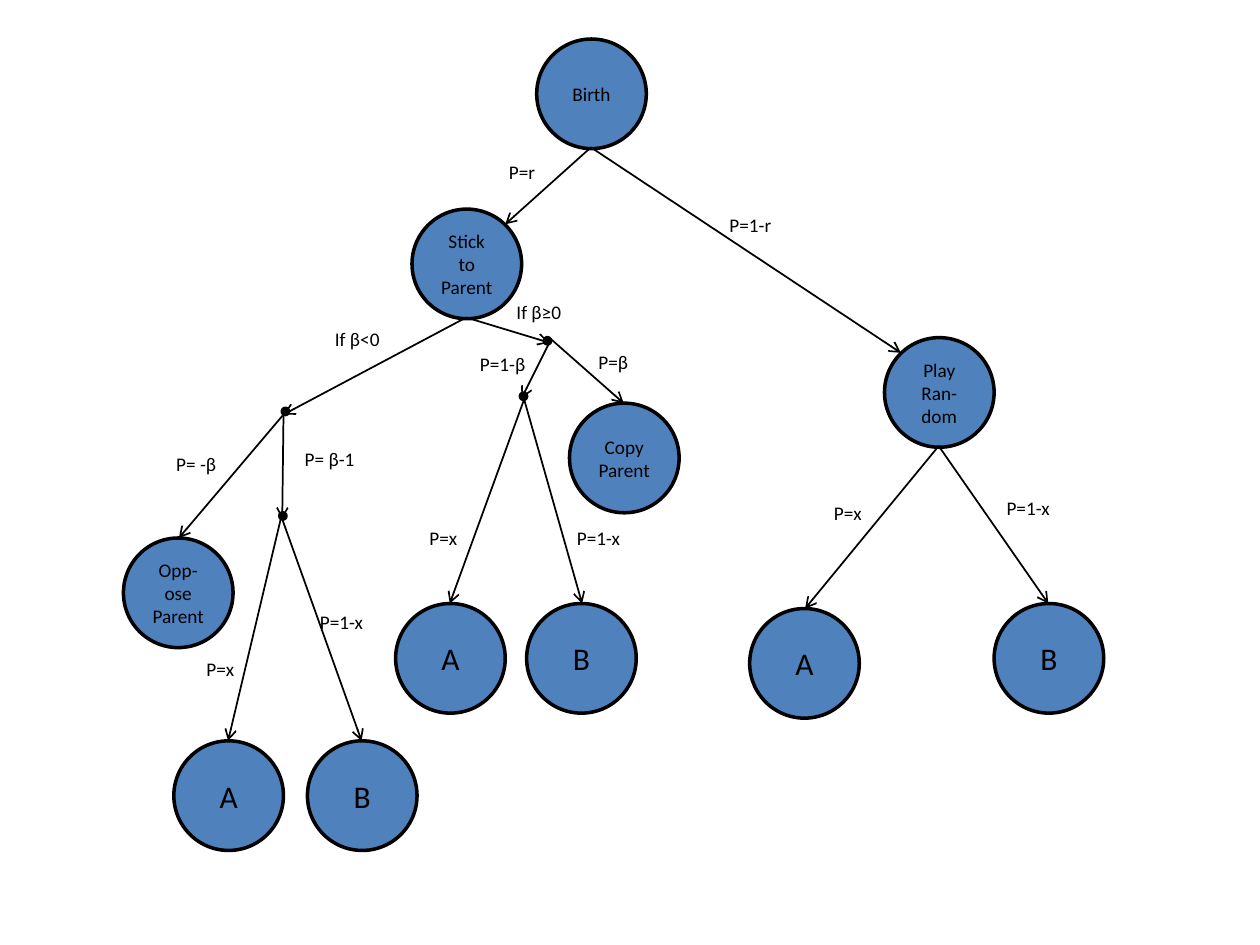
"""Build a probability tree of how a strategy is chosen at birth."""
from typing import NamedTuple

from lxml import etree
from pptx import Presentation
from pptx.dml.color import RGBColor
from pptx.enum import shapes, text
from pptx.oxml.ns import qn
from pptx.util import Inches, Pt

BLACK, BLUE = "000000", "4F81BD"
NODE_SIZE, DOT_SIZE, LABEL_HEIGHT = 0.87, 0.05, 0.29


class Circle(NamedTuple):
    """A tree node; without words it is a junction dot."""
    left: float
    top: float
    words: str = ""
    points: int = 11


class Label(NamedTuple):
    """A probability or condition beside a branch."""
    left: float
    top: float
    width: float
    words: str


class Branch(NamedTuple):
    """An arrow between two points."""
    x1: float
    y1: float
    x2: float
    y2: float


NODES = [
    Circle(4.26, 0.31, "Birth"),
    Circle(3.27, 1.66, "Stick to Parent"),
    Circle(7.02, 2.68, "Play Ran-dom"),
    Circle(4.52, 3.2, "Copy Parent"),
    Circle(0.98, 4.27, "Opp-ose\nParent"),
    Circle(5.95, 4.83, "A", 18),
    Circle(7.89, 4.79, "B", 18),
    Circle(3.14, 4.79, "A", 18),
    Circle(4.18, 4.79, "B", 18),
    Circle(1.38, 5.88, "A", 18),
    Circle(2.44, 5.88, "B", 18),
]
DOTS = [Circle(2.24, 3.24), Circle(2.22, 4.07), Circle(4.13, 3.12), Circle(4.32, 2.68)]
BRANCHES = [
    Branch(4.69, 1.17, 7.15, 2.8),
    Branch(4.69, 1.17, 4.01, 1.78),
    Branch(7.45, 3.54, 6.39, 4.83),
    Branch(7.45, 3.54, 8.32, 4.79),
    Branch(3.7, 2.52, 4.36, 2.72),
    Branch(3.7, 2.52, 2.25, 3.29),
    Branch(4.37, 2.7, 4.14, 3.16),
    Branch(4.36, 2.68, 4.95, 3.2),
    Branch(4.16, 3.17, 3.57, 4.79),
    Branch(4.16, 3.17, 4.62, 4.79),
    Branch(2.25, 3.29, 1.42, 4.27),
    Branch(2.25, 3.29, 2.24, 4.12),
    Branch(2.24, 4.07, 1.81, 5.88),
    Branch(2.24, 4.12, 2.87, 5.88),
]
LABELS = [
    Label(3.94, 1.22, 0.55, "P=r"),
    Label(5.69, 1.64, 0.8, "P=1-r"),
    Label(6.52, 3.93, 0.8, "P=x"),
    Label(7.89, 3.89, 0.8, "P=1-x"),
    Label(4, 2.33, 0.91, "If β≥0"),
    Label(2.56, 2.55, 0.63, "If β<0"),
    Label(4.65, 2.73, 0.91, "P=β"),
    Label(3.71, 2.75, 0.65, "P=1-β"),
    Label(3.31, 4.13, 0.47, "P=x"),
    Label(4.48, 4.13, 0.62, "P=1-x"),
    Label(1.3, 3.54, 0.63, "P= -β"),
    Label(2.32, 3.5, 0.63, "P= β-1"),
    Label(1.54, 5.17, 0.47, "P=x"),
    Label(2.44, 4.79, 0.62, "P=1-x"),
]


def color(value: str) -> RGBColor:
    """Turn a hex string into a colour."""
    return RGBColor.from_string(value)


def write(tf, words: str, points: int, align) -> None:
    """Fill a text frame, one paragraph for each line."""
    tf.word_wrap = True
    tf.text = words
    for p in tf.paragraphs:
        p.alignment = align
        for r in p.runs:
            for name, value in {"name": "Calibri", "size": Pt(points)}.items():
                setattr(r.font, name, value)
            r.font.color.rgb = color(BLACK)


def add_circle(slide, circle: Circle, size: float, fill: str) -> None:
    """Draw a node or a junction dot."""
    sp = slide.shapes.add_shape(
        shapes.MSO_SHAPE.OVAL, Inches(circle.left), Inches(circle.top), Inches(size), Inches(size))
    sp.shadow.inherit = False
    sp.fill.solid()
    sp.fill.fore_color.rgb = color(fill)
    sp.line.color.rgb = color(BLACK)
    sp.line.width = Pt(2)
    if circle.words:
        sp.text_frame.vertical_anchor = text.MSO_ANCHOR.MIDDLE
        write(sp.text_frame, circle.words, circle.points, text.PP_ALIGN.CENTER)


def add_branch(slide, branch: Branch) -> None:
    """Draw an arrow with an open head."""
    line = slide.shapes.add_connector(
        shapes.MSO_CONNECTOR.STRAIGHT, *(Inches(value) for value in branch))
    line.line.color.rgb = color(BLACK)
    line.line.width = Pt(1)
    etree.SubElement(line.line._get_or_add_ln(), qn("a:tailEnd"), type="arrow")
    etree.SubElement(line._element.spPr, qn("a:effectLst"))


def add_label(slide, label: Label) -> None:
    """Write the text beside a branch."""
    sp = slide.shapes.add_textbox(
        Inches(label.left), Inches(label.top), Inches(label.width), Inches(LABEL_HEIGHT))
    sp.text_frame.auto_size = text.MSO_AUTO_SIZE.SHAPE_TO_FIT_TEXT
    write(sp.text_frame, label.words, 11, text.PP_ALIGN.LEFT)


def main() -> None:
    """Build and save the slide."""
    prs = Presentation()
    prs.slide_width, prs.slide_height = Inches(10), Inches(7.5)
    slide = prs.slides.add_slide(prs.slide_layouts.get_by_name("Blank"))
    for node in NODES:
        add_circle(slide, node, NODE_SIZE, BLUE)
    for branch in BRANCHES:
        add_branch(slide, branch)
    for label in LABELS:
        add_label(slide, label)
    for dot in DOTS:
        add_circle(slide, dot, DOT_SIZE, BLACK)
    prs.save("out.pptx")


main()
